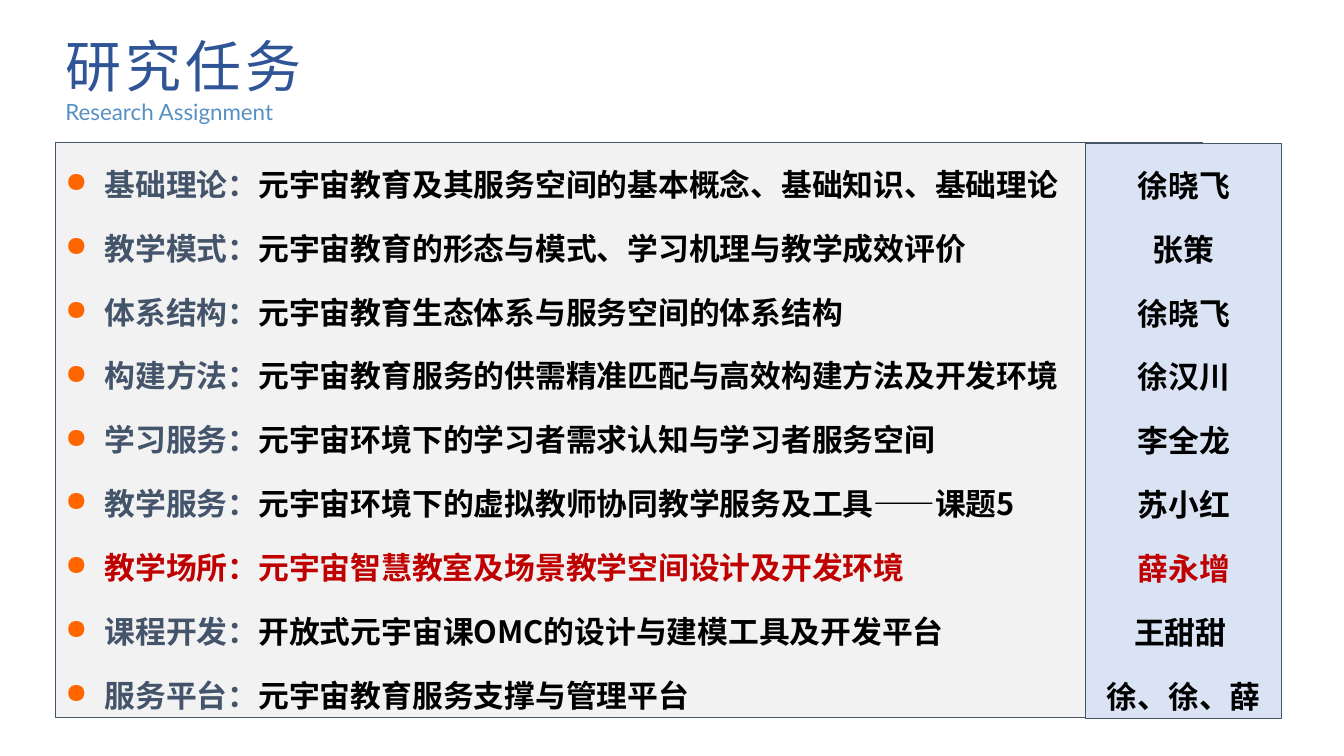
from lxml import etree
from pptx import Presentation
from pptx.dml.color import RGBColor
from pptx.enum.shapes import MSO_SHAPE
from pptx.enum.text import MSO_ANCHOR, PP_ALIGN
from pptx.oxml.ns import qn
from pptx.util import Inches, Pt

BLACK = RGBColor(0x00, 0x00, 0x00)
RED = RGBColor(0xC0, 0x00, 0x00)
SLATE = RGBColor(0x44, 0x54, 0x6A)
GREY = RGBColor(0xF2, 0xF2, 0xF2)
PALE_BLUE = RGBColor(0xDA, 0xE3, 0xF3)
TITLE_BLUE = RGBColor(0x2F, 0x55, 0x97)
SUBTITLE_BLUE = RGBColor(0x2E, 0x75, 0xB6)
BULLET_ORANGE = "FF6600"
BODY_FONT = "Noto Sans CJK SC"

# Topic, description, person in charge
TASKS = [
    ("基础理论：", "元宇宙教育及其服务空间的基本概念、基础知识、基础理论", "徐晓飞"),
    ("教学模式：", "元宇宙教育的形态与模式、学习机理与教学成效评价", "张策"),
    ("体系结构：", "元宇宙教育生态体系与服务空间的体系结构", "徐晓飞"),
    ("构建方法：", "元宇宙教育服务的供需精准匹配与高效构建方法及开发环境", "徐汉川"),
    ("学习服务：", "元宇宙环境下的学习者需求认知与学习者服务空间", "李全龙"),
    ("教学服务：", "元宇宙环境下的虚拟教师协同教学服务及工具——课题5", "苏小红"),
    ("教学场所：", "元宇宙智慧教室及场景教学空间设计及开发环境", "薛永增"),
    ("课程开发：", "开放式元宇宙课OMC的设计与建模工具及开发平台", "王甜甜 "),
    ("服务平台：", "元宇宙教育服务支撑与管理平台", "徐、徐、薛"),
]
HIGHLIGHTED = "教学场所："


def style_run(run, font_name, size, color, bold=False):
    font = run.font
    font.name, font.size, font.bold = font_name, Pt(size), bold
    font.color.rgb = color
    east_asian = etree.SubElement(run._r.get_or_add_rPr(), qn("a:ea"))
    east_asian.set("typeface", font_name)


def add_bullet(paragraph):
    properties = paragraph._p.get_or_add_pPr()
    properties.set("marL", str(Inches(0.39)))
    properties.set("indent", str(Inches(-0.39)))
    bullet_color = etree.SubElement(properties, qn("a:buClr"))
    etree.SubElement(bullet_color, qn("a:srgbClr")).set("val", BULLET_ORANGE)
    etree.SubElement(properties, qn("a:buSzPct")).set("val", "90000")
    etree.SubElement(properties, qn("a:buChar")).set("char", "●")


def add_panel(slide, box, fill, rows, alignment, bulleted=False):
    """Draw a bordered panel; each row is a list of (text, color) runs."""
    panel = slide.shapes.add_shape(MSO_SHAPE.RECTANGLE, *map(Inches, box))
    panel.shadow.inherit = False
    panel.fill.solid()
    panel.fill.fore_color.rgb = fill
    panel.line.color.rgb = SLATE
    panel.line.width = Pt(0.75)
    text_frame = panel.text_frame
    text_frame.word_wrap = True
    text_frame.vertical_anchor = MSO_ANCHOR.TOP
    for index, row in enumerate(rows):
        paragraph = text_frame.add_paragraph() if index else text_frame.paragraphs[0]
        if bulleted:
            add_bullet(paragraph)
        paragraph.alignment = alignment
        paragraph.line_spacing = Pt(39.6)
        paragraph.space_before = Pt(6 if index else 0)
        for text, color in row:
            run = paragraph.add_run()
            run.text = text
            style_run(run, BODY_FONT, 22, color, bold=True)


def add_heading(slide, box, text, font_name, size, color):
    text_box = slide.shapes.add_textbox(*map(Inches, box))
    text_frame = text_box.text_frame
    text_frame.word_wrap = True
    text_frame.text = text
    run = text_frame.paragraphs[0].runs[0]
    style_run(run, font_name, size, color)
    return run


def add_header(slide, left, top):
    title = add_heading(slide, (left, top, 3.56, 0.77), "研究任务", "Roboto", 40, TITLE_BLUE)
    title._r.get_or_add_rPr().set("spc", "300")
    subtitle = add_heading(slide, (left, top + 0.66, 2.52, 0.37),
                           "Research Assignment", "Lato", 16, SUBTITLE_BLUE)
    # Slight transparency on the subtitle
    color = subtitle._r.get_or_add_rPr().find(".//" + qn("a:srgbClr"))
    etree.SubElement(color, qn("a:alpha")).set("val", "80000")


def add_task_panels(slide, left, top):
    task_rows, people_rows = [], []
    for topic, description, person in TASKS:
        highlighted = topic == HIGHLIGHTED
        text_color = RED if highlighted else BLACK
        topic_color = RED if highlighted else SLATE
        task_rows.append([(topic, topic_color), (description, text_color)])
        people_rows.append([(person, text_color)])
    add_panel(slide, (left, top, 11.38, 5.71), GREY, task_rows, PP_ALIGN.LEFT, bulleted=True)
    add_panel(slide, (left + 10.22, top + 0.01, 1.94, 5.71), PALE_BLUE,
              people_rows, PP_ALIGN.CENTER)


def main():
    presentation = Presentation()
    presentation.slide_width = Inches(13.33)
    presentation.slide_height = Inches(7.5)
    slide = presentation.slides.add_slide(presentation.slide_layouts[6])
    add_task_panels(slide, 0.55, 1.41)
    add_header(slide, 0.55, 0.26)
    presentation.save("out.pptx")


if __name__ == "__main__":
    main()
